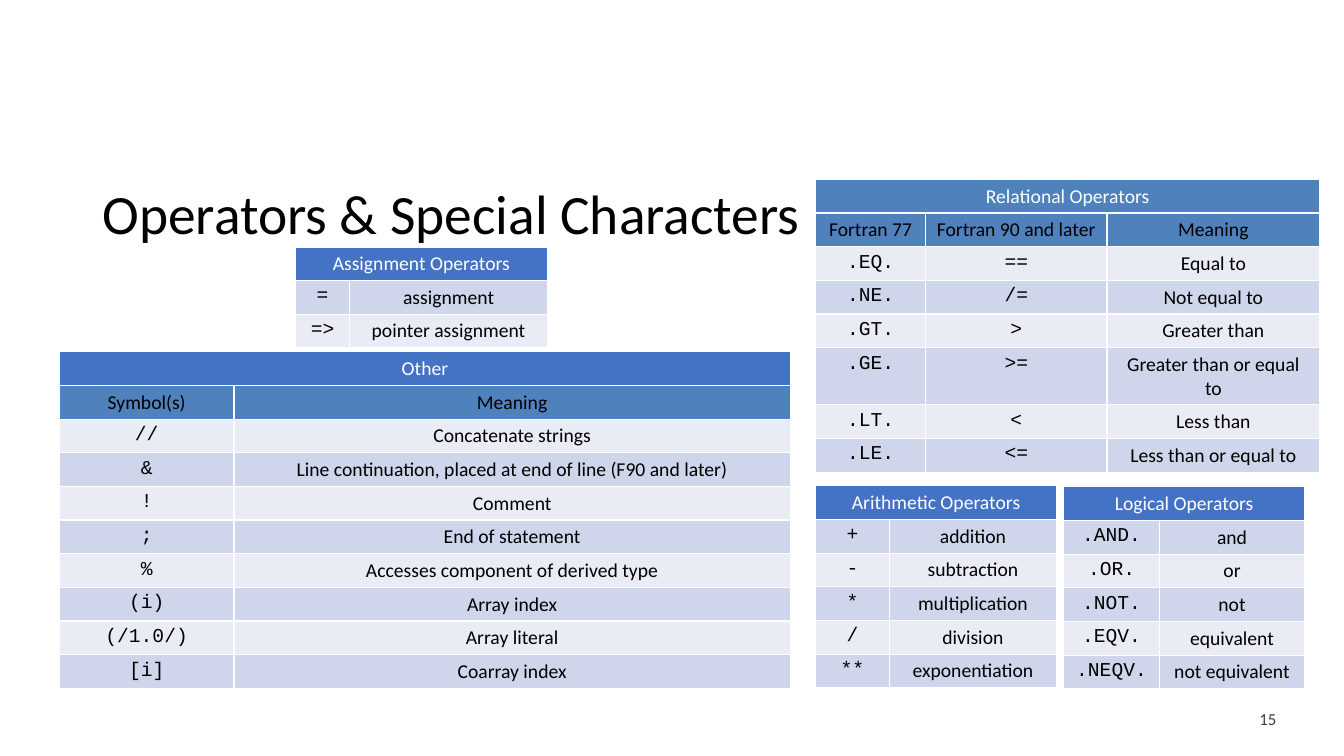
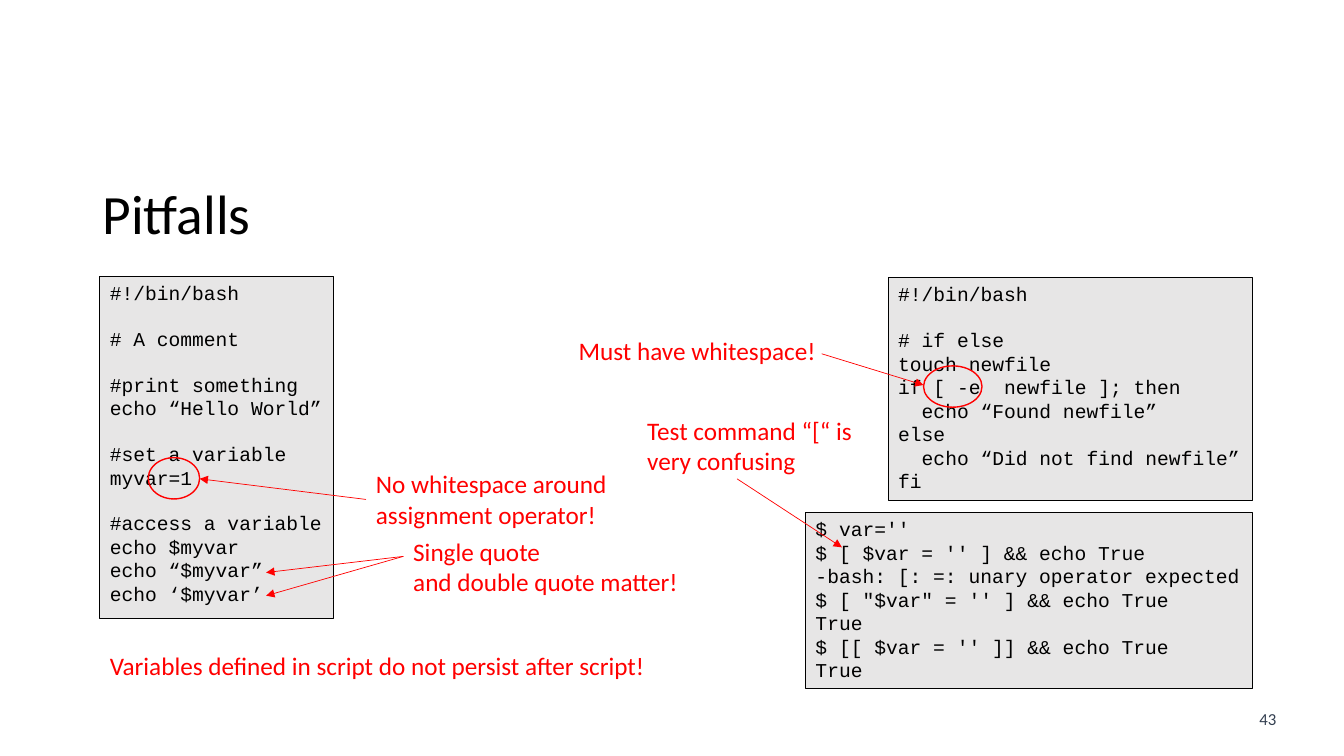
"""Build two slides on Fortran operators and shell pitfalls."""
from lxml import etree
from pptx import Presentation, util as u
from pptx.dml.color import RGBColor
from pptx.enum import shapes, text
from pptx.oxml.ns import qn

PX = 9144
BLACK = RGBColor(0x00, 0x00, 0x00)
WHITE = RGBColor(0xFF, 0xFF, 0xFF)
RED = RGBColor(0xFF, 0x00, 0x00)
SLATE = RGBColor(0x33, 0x3F, 0x50)
GREY = RGBColor(0xE7, 0xE6, 0xE6)
BLUE = RGBColor(0x44, 0x72, 0xC4)
STEEL = RGBColor(0x4F, 0x81, 0xBD)
BANDS = RGBColor(0xE9, 0xEB, 0xF5), RGBColor(0xCF, 0xD5, 0xEA)
SANS, MONO = "Calibri", "Courier New"
LINE, CHAR = u.Pt(15.86), u.Pt(8.4)
LEFT, MID = text.PP_ALIGN.LEFT, text.PP_ALIGN.CENTER


def put(obj, **vals):
    for name, val in vals.items():
        setattr(obj, name, val)


class Deck:
    def __init__(self):
        self.prs = Presentation()
        put(self.prs, slide_width=1333 * PX, slide_height=750 * PX)

    def page(self, title, num):
        layout = self.prs.slide_layouts[6]
        self.items = self.prs.slides.add_slide(layout).shapes
        self.label([str(num)], (1234, 698, 47, 30), 12, SLATE, align=MID)
        head = self.label([title], (92, 180, 1150, 70), 39.6, BLACK).text_frame
        put(head, word_wrap=True, auto_size=text.MSO_AUTO_SIZE.NONE,
            vertical_anchor=text.MSO_ANCHOR.MIDDLE)
        head.paragraphs[0].line_spacing = 0.9

    def words(self, frame, rows, size, color, font=SANS, align=LEFT):
        gap, para = 0, frame.paragraphs[0]
        for row in rows:
            if not row:
                gap += LINE
                continue
            if para.runs:
                para = frame.add_paragraph()
            body = row.lstrip()
            put(para, alignment=align, space_before=u.Emu(gap))
            inset = (len(row) - len(body)) * CHAR
            if inset:
                para._p.get_or_add_pPr().set("marL", str(inset))
            run = para.add_run()
            run.text = body
            put(run.font, size=u.Pt(size), name=font, bold=False)
            run.font.color.rgb = color
            gap = 0

    def label(self, rows, box, size=18, color=RED, align=LEFT):
        item = self.items.add_textbox(*(n * PX for n in box))
        put(item.text_frame, word_wrap=False,
            auto_size=text.MSO_AUTO_SIZE.SHAPE_TO_FIT_TEXT)
        self.words(item.text_frame, rows, size, color, align=align)
        return item

    def shape(self, kind, box, color, width):
        item = self.items.add_shape(kind, *(n * PX for n in box))
        item.shadow.inherit = False
        item.line.color.rgb = color
        item.line.width = u.Pt(width)
        return item

    def code(self, script, box):
        item = self.shape(shapes.MSO_SHAPE.RECTANGLE, box, BLACK, 0.75)
        item.fill.solid()
        item.fill.fore_color.rgb = GREY
        put(item.text_frame, word_wrap=False,
            auto_size=text.MSO_AUTO_SIZE.SHAPE_TO_FIT_TEXT,
            vertical_anchor=text.MSO_ANCHOR.TOP)
        self.words(item.text_frame, script.strip().split("\n"), 14, BLACK, MONO)

    def ring(self, *box):
        self.shape(shapes.MSO_SHAPE.OVAL, box, RED, 1).fill.background()

    def arrow(self, *ends):
        item = self.items.add_connector(
            shapes.MSO_CONNECTOR.STRAIGHT, *(n * PX for n in ends))
        item.line.color.rgb = RED
        item.line.width = u.Pt(0.5)
        etree.SubElement(item.line._get_or_add_ln(), qn("a:tailEnd"),
                         type="triangle")
        etree.SubElement(item._element.spPr, qn("a:effectLst"))
        return item

    def table(self, title, left, top, cols, body, heads=(), fill=BLUE):
        rows = [[title]] + ([heads] if heads else []) + body
        grid = self.items.add_table(len(rows), len(cols), left * PX, top * PX,
                                    sum(cols) * PX, len(rows) * 33 * PX).table
        grid.horz_banding = False
        for col, wide in zip(grid.columns, cols):
            col.width = wide * PX
        grid.cell(0, 0).merge(grid.cell(0, len(cols) - 1))
        first = len(rows) - len(body)
        for i, row in enumerate(rows):
            tone = BANDS[i % 2] if i >= first else STEEL if i else fill
            for j, word in enumerate(row):
                cell = grid.cell(i, j)
                cell.fill.solid()
                cell.fill.fore_color.rgb = tone
                mono = i >= first and j < len(cols) - 1
                self.words(cell.text_frame, [word], 14, BLACK if i else WHITE,
                           MONO if mono else SANS, MID)


RELATE = [
    (".EQ.", "==", "Equal to"),
    (".NE.", "/=", "Not equal to"),
    (".GT.", ">", "Greater than"),
    (".GE.", ">=", "Greater than or equal to"),
    (".LT.", "<", "Less than"),
    (".LE.", "<=", "Less than or equal to"),
]
MATH = [
    ("+", "addition"),
    ("-", "subtraction"),
    ("*", "multiplication"),
    ("/", "division"),
    ("**", "exponentiation"),
]
ASSIGN = [("=", "assignment"), ("=>", "pointer assignment")]
OTHER = [
    ("//", "Concatenate strings"),
    ("&", "Line continuation, placed at end of line (F90 and later)"),
    ("!", "Comment"),
    (";", "End of statement"),
    ("%", "Accesses component of derived type"),
    ("(i)", "Array index"),
    ("(/1.0/)", "Array literal"),
    ("[i]", "Coarray index"),
]
LOGIC = [
    (".AND.", "and"),
    (".OR.", "or"),
    (".NOT.", "not"),
    (".EQV.", "equivalent"),
    (".NEQV.", "not equivalent"),
]
VARS = """
#!/bin/bash

# A comment

#print something
echo “Hello World”

#set a variable
myvar=1

#access a variable
echo $myvar
echo “$myvar”
echo ‘$myvar’
"""
BRANCH = """
#!/bin/bash

# if else
touch newfile
if [ -e  newfile ]; then
  echo “Found newfile”
else
  echo “Did not find newfile”
fi
"""
TESTS = """
$ var=''
$ [ $var = '' ] && echo True
-bash: [: =: unary operator expected
$ [ "$var" = '' ] && echo True
True
$ [[ $var = '' ]] && echo True
True
"""


def main():
    deck = Deck()

    deck.page("Operators & Special Characters", 15)
    deck.table("Relational Operators", 809, 178, (109, 180, 211), RELATE,
               ("Fortran 77", "Fortran 90 and later", "Meaning"), STEEL)
    deck.table("Arithmetic Operators", 809, 482, (73, 166), MATH)
    deck.table("Assignment Operators", 293, 245, (54, 196), ASSIGN)
    deck.table("Other", 59, 349, (173, 552), OTHER, ("Symbol(s)", "Meaning"))
    deck.table("Logical Operators", 1055, 483, (95, 144), LOGIC)

    deck.page("Pitfalls", 43)
    deck.code(VARS, (99, 274, 232, 340))
    deck.code(BRANCH, (881, 275, 361, 222))
    deck.code(TESTS, (799, 508, 443, 175))
    deck.ring(147, 454, 51, 41)
    deck.ring(916, 363, 58, 41)
    space = deck.label(["No whitespace around", "assignment operator!"],
                       (363, 460, 252, 71))
    deck.label(["Variables defined in script do not persist after script!"],
               (99, 640, 558, 40))
    deck.label(["Single quote", "and double quote matter!"],
               (400, 527, 287, 71))
    deck.label(["Must have whitespace!"], (564, 328, 258, 40))
    deck.label(["Test command “[“ is", "very confusing"], (632, 407, 225, 71))
    deck.arrow(363, 495, 198, 475).begin_connect(space, 1)
    for end in (568, 591):
        deck.arrow(400, 552, 264, end)
    deck.arrow(815, 351, 916, 382)
    deck.arrow(731, 475, 835, 543)

    deck.prs.save("out.pptx")


if __name__ == "__main__":
    main()
